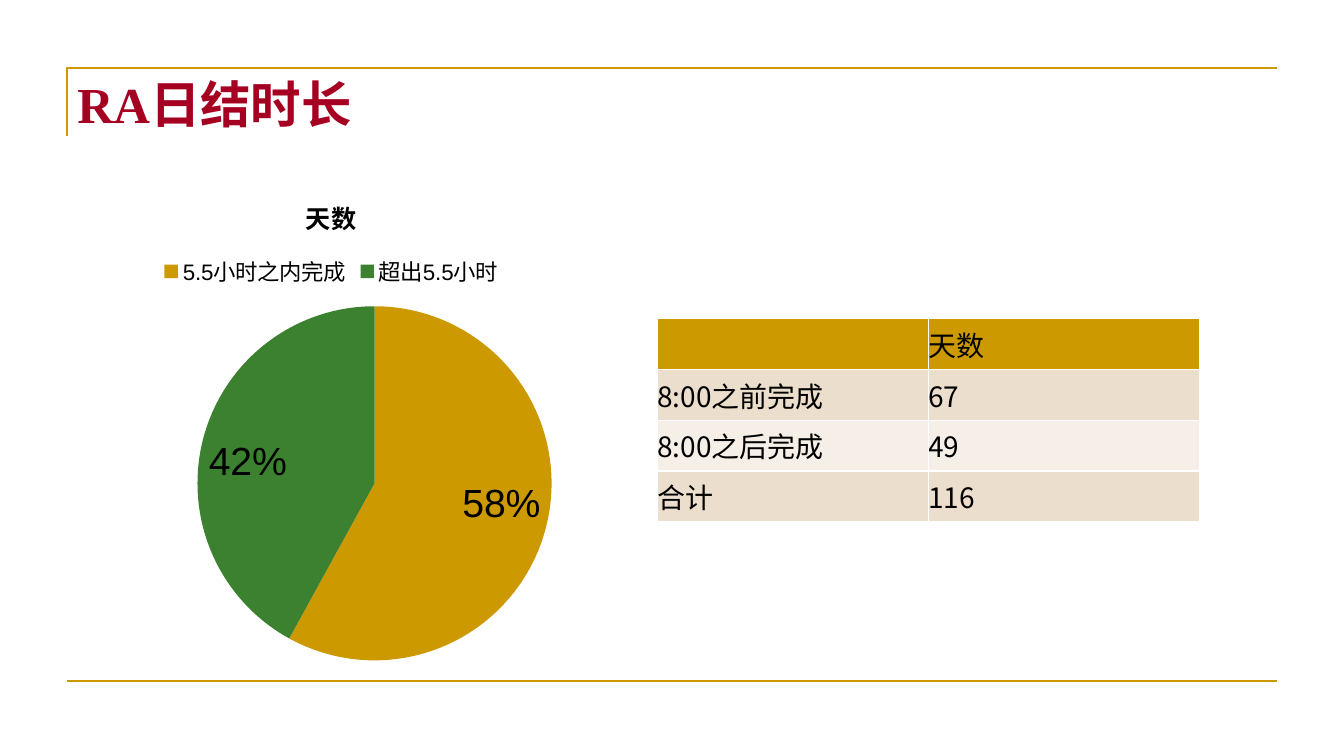
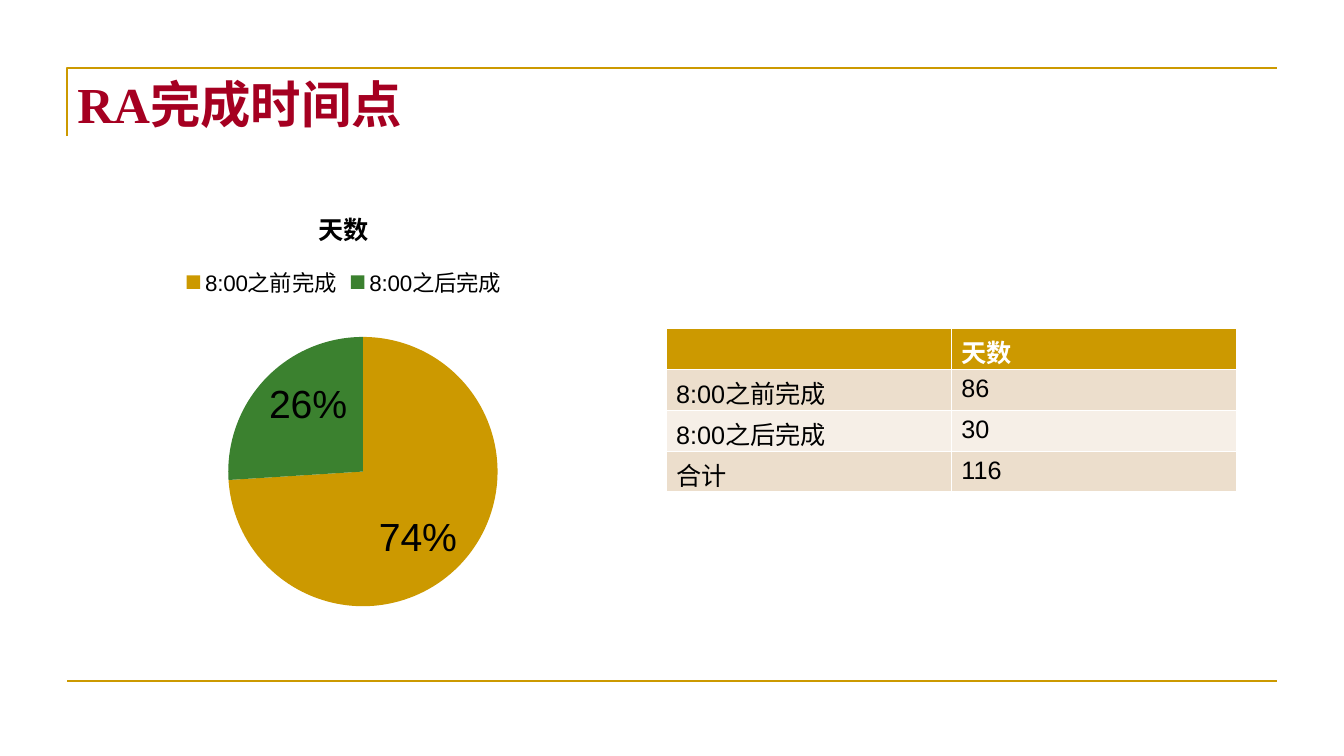
"""Builds two slides on RA daily settlement, each with a pie chart and its table."""
from lxml import etree
from pptx import Presentation
from pptx.chart.data import CategoryChartData
from pptx.dml.color import RGBColor
from pptx.enum.chart import XL_CHART_TYPE, XL_LABEL_POSITION, XL_LEGEND_POSITION
from pptx.enum.shapes import MSO_CONNECTOR
from pptx.enum.text import MSO_ANCHOR
from pptx.oxml.ns import qn
from pptx.util import Cm, Pt

PIE = XL_CHART_TYPE.PIE
INSIDE_END = XL_LABEL_POSITION.INSIDE_END
LEGEND_TOP = XL_LEGEND_POSITION.TOP
STRAIGHT = MSO_CONNECTOR.STRAIGHT
TOP, MIDDLE = MSO_ANCHOR.TOP, MSO_ANCHOR.MIDDLE

COLORS = {
    "gold": "CC9900",
    "green": "3B812F",
    "red": "A50021",
    "black": "000000",
    "white": "FFFFFF",
    "sand": "ECDECC",
    "cream": "F6EFE7",
}
CJK_FONT = "Noto Sans CJK SC"
LEFT, RIGHT = Cm(1.7), Cm(32.18)
RULE_TOP, RULE_BOTTOM = Cm(1.72), Cm(17.15)
MEASURE = "天数"

SLIDES = [
    {
        "title": "RA日结时长",
        "shares": {"5.5小时之内完成": 58, "超出5.5小时": 42},
        "chart_box": (1.5, 4.45, 13.69, 12.57),
        "pie_area": {"x": 0.25, "y": 0.26, "w": 0.66, "h": 0.71},
        "days": [("8:00之前完成", "67"), ("8:00之后完成", "49"), ("合计", "116")],
        "table_box": (16.56, 8.03, 13.66, 5.12),
        "table_font": (CJK_FONT, 20),
        "header": ("black", False),
        "anchor": MIDDLE,
        "insets": (0, 0),
    },
    {
        "title": "RA完成时间点",
        "shares": {"8:00之前完成": 74, "8:00之后完成": 26},
        "chart_box": (1.7, 4.72, 13.92, 12.57),
        "pie_area": {"x": 0.29, "y": 0.3, "w": 0.49, "h": 0.54},
        "days": [("8:00之前完成", "86"), ("8:00之后完成", "30"), ("合计", "116")],
        "table_box": (16.79, 8.28, 14.38, 4.12),
        "table_font": ("Arial", 18),
        "header": ("white", True),
        "anchor": TOP,
        "insets": (0.25, 0.13),
    },
]


def color(name):
    return RGBColor.from_string(COLORS[name])


def style(paragraph, font_name, size, color_name, bold):
    font = paragraph.font
    font.name, font.size, font.bold = font_name, Pt(size), bold
    font.color.rgb = color(color_name)
    defaults = paragraph._p.find(qn("a:pPr")).find(qn("a:defRPr"))
    etree.SubElement(defaults, qn("a:ea")).set("typeface", CJK_FONT)


prs = Presentation()
prs.slide_width, prs.slide_height = Cm(33.87), Cm(19.05)
blank = prs.slide_layouts[6]

for content in SLIDES:
    slide = prs.slides.add_slide(blank)
    shapes = slide.shapes

    outline = shapes.build_freeform(LEFT, Cm(3.43))
    outline.add_line_segments([(LEFT, RULE_TOP), (RIGHT, RULE_TOP)], close=False)
    corner = outline.convert_to_shape()
    corner.fill.background()
    corner.shadow.inherit = False
    footer_rule = shapes.add_connector(STRAIGHT, LEFT, RULE_BOTTOM, RIGHT, RULE_BOTTOM)
    etree.SubElement(footer_rule._element.spPr, qn("a:effectLst"))
    for rule in (corner, footer_rule):
        rule.line.color.rgb = color("gold")
        rule.line.width = Pt(1.5)

    title = shapes.add_textbox(LEFT, RULE_TOP, RIGHT - LEFT, Cm(3.18)).text_frame
    title.word_wrap = True
    title.text = content["title"]
    style(title.paragraphs[0], "Times New Roman", 36, "red", True)

    rows = [("", MEASURE)] + content["days"]
    table_box = [Cm(length) for length in content["table_box"]]
    days_table = shapes.add_table(len(rows), 2, *table_box).table
    side_inset, end_inset = (Cm(inset) for inset in content["insets"])
    for row_index, row in enumerate(rows):
        if row_index == 0:
            fill, (text_color, bold) = "gold", content["header"]
        else:
            fill = "sand" if row_index % 2 else "cream"
            text_color, bold = "black", False
        for column_index, text in enumerate(row):
            cell = days_table.cell(row_index, column_index)
            cell.fill.solid()
            cell.fill.fore_color.rgb = color(fill)
            cell.vertical_anchor = content["anchor"]
            cell.margin_left = cell.margin_right = side_inset
            cell.margin_top = cell.margin_bottom = end_inset
            cell.text = text
            style(cell.text_frame.paragraphs[0], *content["table_font"], text_color, bold)

    shares = CategoryChartData()
    shares.categories = list(content["shares"])
    shares.add_series(MEASURE, list(content["shares"].values()))
    chart_box = [Cm(length) for length in content["chart_box"]]
    chart = shapes.add_chart(PIE, *chart_box, shares).chart
    chart.font.name, chart.font.size = "Arial", Pt(10)
    chart.font.color.rgb = color("black")

    chart.has_title = True
    heading = chart.chart_title.text_frame
    heading.text = MEASURE
    style(heading.paragraphs[0], "Arial", 18, "black", True)

    chart.has_legend = True
    chart.legend.position = LEGEND_TOP
    chart.legend.include_in_layout = False
    chart.legend.font.size = Pt(16)

    pie = chart.plots[0]
    pie.vary_by_categories = True
    for point_index, slice_color in enumerate(("gold", "green")):
        slice_fill = pie.series[0].points[point_index].format.fill
        slice_fill.solid()
        slice_fill.fore_color.rgb = color(slice_color)
    pie.has_data_labels = True
    labels = pie.data_labels
    labels.show_percentage, labels.show_value = True, False
    labels.number_format, labels.number_format_is_linked = "0%", False
    labels.position = INSIDE_END
    labels.font.size = Pt(28)

    plot_area = chart._chartSpace.chart.plotArea
    for automatic in plot_area.findall(qn("c:layout")):
        plot_area.remove(automatic)
    layout = etree.Element(qn("c:layout"))
    manual = etree.SubElement(layout, qn("c:manualLayout"))
    settings = {"layoutTarget": "inner", "xMode": "edge", "yMode": "edge"}
    for tag, value in (settings | content["pie_area"]).items():
        etree.SubElement(manual, qn(f"c:{tag}")).set("val", str(value))
    plot_area.insert(0, layout)

prs.save("out.pptx")
